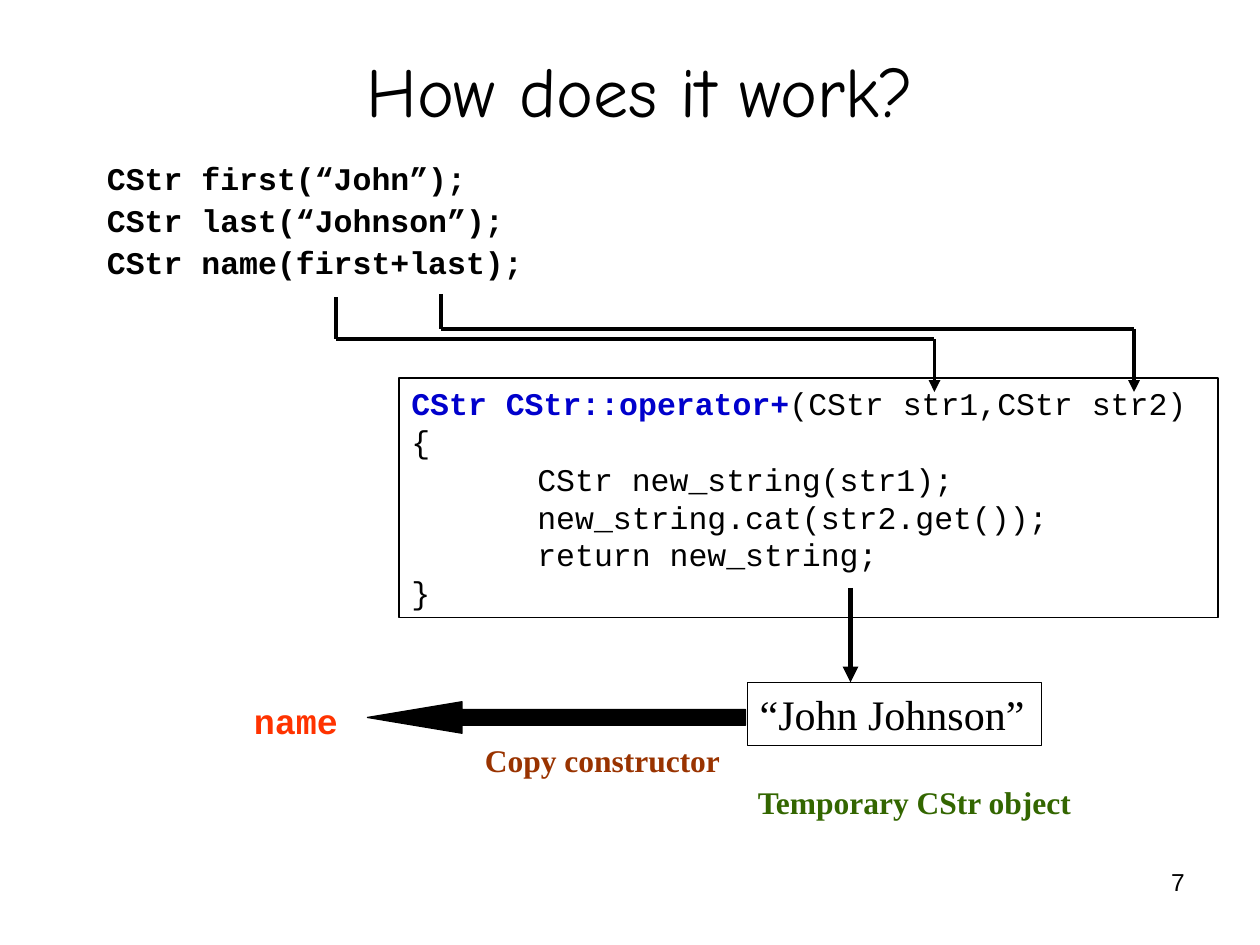
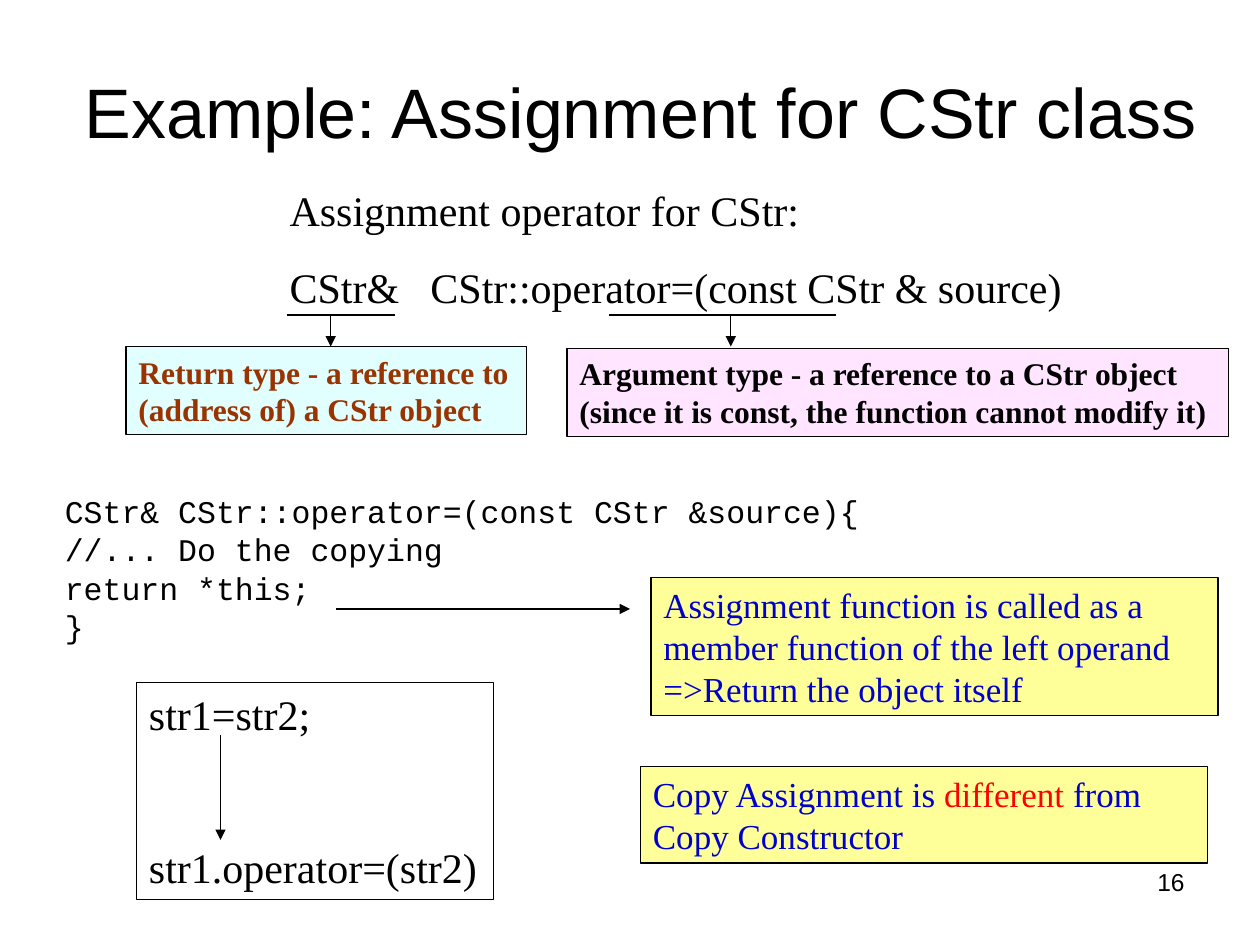
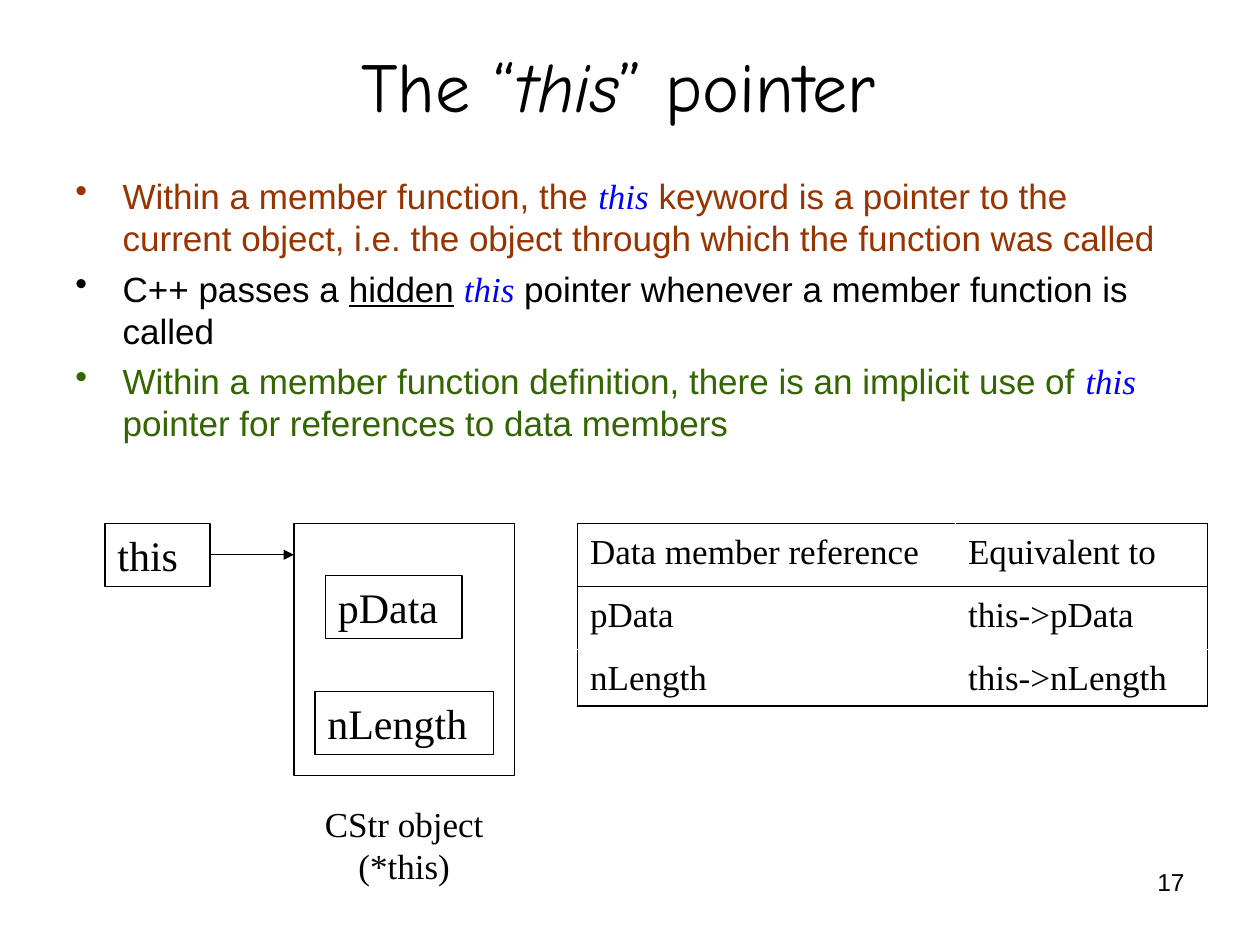
import pptx
import pptx.dml.color
import pptx.enum.shapes
import pptx.enum.text
import pptx.oxml
import pptx.oxml.ns
import pptx.util

Pt = pptx.util.Pt
SHAPES = pptx.enum.shapes.MSO_SHAPE
ALIGN = pptx.enum.text.PP_ALIGN
ANCHOR = pptx.enum.text.MSO_ANCHOR

COLOURS = {
    "black": "000000", "white": "FFFFFF", "code blue": "0000CC",
    "keyword blue": "0000FF", "brown": "993300", "green": "336600",
    "orange": "FF3300", "red": "FF0000", "pale cyan": "E1FFFF",
    "pale pink": "FFE5FF", "pale yellow": "FFFF99",
}
SANS, COMIC, MONO, SERIF = "Arial", "Comic Neue", "Courier New", "Times New Roman"

TITLE = {"name": COMIC, "size": 40}
PAGE_NUMBER = {"name": SANS, "size": 14}
CODE = {"name": MONO, "size": 18}
LABEL = {"name": SERIF, "size": 18, "bold": True}
NOTE = {"name": SERIF, "size": 20}
LARGE = {"name": SERIF, "size": 24}
BULLET = {"name": SANS, "size": 20}
THIS = {"name": SERIF, "colour": "keyword blue", "italic": True}
THIN, MEDIUM, THICK = 0.75, 2.25, 3


def rgb(colour):
    return pptx.dml.color.RGBColor.from_string(COLOURS[colour])


def add_xml(parent, markup, index=None):
    """Add a DrawingML element, written without its namespace declaration."""
    tag, rest = markup[:markup.index(" ")], markup[markup.index(" "):]
    element = pptx.oxml.parse_xml(tag + " " + pptx.oxml.ns.nsdecls("a") + rest)
    parent.insert(len(parent) if index is None else index, element)


def format_font(font, style):
    font.color.rgb = rgb(style.get("colour", "black"))
    for key, value in style.items():
        if key != "colour":
            setattr(font, key, Pt(value) if key == "size" else value)


def write(frame, paragraphs, style, **layout):
    """Fill a frame; a paragraph is a string or a list of (text, style changes)."""
    frame.word_wrap = True
    for number, content in enumerate(paragraphs):
        para = frame.paragraphs[0] if number == 0 else frame.add_paragraph()
        for key, value in layout.items():
            setattr(para, key, value)
        runs = [(content, {})] if isinstance(content, str) else content
        for text, changes in runs:
            span = para.add_run()
            span.text = text
            format_font(span.font, {**style, **changes})


def indent(para, left, first=0):
    properties = para._p.get_or_add_pPr()
    properties.set("marL", str(Pt(left)))
    properties.set("indent", str(Pt(first)))


def add_text(page, place, paragraphs, style, anchor=ANCHOR.TOP, **layout):
    box = page.shapes.add_textbox(*map(Pt, place))
    box.text_frame.vertical_anchor = anchor
    write(box.text_frame, paragraphs, style, **layout)
    return box


def add_box(page, place, paragraphs=(), style=LARGE, fill=None,
            kind=SHAPES.RECTANGLE, **layout):
    box = page.shapes.add_shape(kind, *map(Pt, place))
    box.shadow.inherit = False
    box.line.color.rgb = rgb("black")
    box.line.width = Pt(THIN)
    if fill:
        box.fill.solid()
        box.fill.fore_color.rgb = rgb(fill)
    else:
        box.fill.background()
    box.text_frame.vertical_anchor = ANCHOR.TOP
    write(box.text_frame, paragraphs, style, **{"alignment": ALIGN.LEFT, **layout})
    return box


def add_line(page, start, end, width=THIN, arrow=False):
    line = page.shapes.add_connector(
        pptx.enum.shapes.MSO_CONNECTOR.STRAIGHT, *map(Pt, start + end))
    line.line.color.rgb = rgb("black")
    line.line.width = Pt(width)
    if arrow:
        add_xml(line.line._get_or_add_ln(), '<a:tailEnd type="triangle"/>')
    add_xml(line._element.spPr, "<a:effectLst />")
    return line


def add_route(page, points):
    """Join the points with lines, the last one ending in an arrowhead."""
    last = len(points) - 2
    for number, (start, end) in enumerate(zip(points, points[1:])):
        add_line(page, start, end, MEDIUM, arrow=number == last)


def add_page(deck, number, title_place, title, style=TITLE):
    page = deck.slides.add_slide(deck.slide_layouts[6])
    add_text(page, (516, 492, 168, 37), [str(number)], PAGE_NUMBER,
             alignment=ALIGN.RIGHT)
    add_text(page, title_place, [title], style, ANCHOR.MIDDLE,
             alignment=ALIGN.CENTER)
    return page


def add_callout(page, underline, arrow_x, place, text, fill, colour):
    """Underline part of a signature and point from it to an explanation."""
    left, right = underline
    add_line(page, (left, 180), (right, 180))
    add_line(page, (arrow_x, 180), (arrow_x, 198), arrow=True)
    add_box(page, place, [text], {**LABEL, "colour": colour}, fill)


def add_bullets(page, place, bullets):
    """Each bullet is a colour and its list of (text, style changes)."""
    paragraphs = [[(text, {"colour": colour, **changes}) for text, changes in runs]
                  for colour, runs in bullets]
    box = add_text(page, place, paragraphs, BULLET, space_before=Pt(5))
    for para, (colour, _) in zip(box.text_frame.paragraphs, bullets):
        indent(para, 27, -27)
        properties = para._p.get_or_add_pPr()
        add_xml(properties, "<a:buClr ><a:srgbClr val=\"%s\"/></a:buClr>" % COLOURS[colour])
        add_xml(properties, '<a:buChar char="•"/>')


def set_borders(cell, sides):
    for index, side in enumerate(sides):
        add_xml(cell._tc.get_or_add_tcPr(),
                '<a:ln%s w="%d"><a:solidFill><a:srgbClr val="%s"/></a:solidFill></a:ln%s>'
                % (side, Pt(THIN), COLOURS["black"], side), index)


def add_grid(page, left, top, widths, heights, rows):
    """Add a table with an outer frame and a rule under its heading."""
    frame = page.shapes.add_table(len(rows), len(widths), Pt(left), Pt(top),
                                  Pt(sum(widths)), Pt(sum(heights)))
    table = frame.table
    table.first_row = table.horz_banding = False
    for column, width in zip(table.columns, widths):
        column.width = Pt(width)
    for row, height in zip(table.rows, heights):
        row.height = Pt(height)
    margins = {"margin_left": 7.2, "margin_right": 0, "margin_top": 5.7, "margin_bottom": 2}
    for r, texts in enumerate(rows):
        for c, text in enumerate(texts):
            cell = table.cell(r, c)
            for key, value in margins.items():
                setattr(cell, key, Pt(value))
            cell.fill.background()
            write(cell.text_frame, [text], NOTE)
            edges = {"L": c == 0, "R": c == len(widths) - 1, "T": r <= 1,
                     "B": r in (0, len(rows) - 1)}
            set_borders(cell, [side for side, drawn in edges.items() if drawn])


def build_operator_page(deck):
    page = add_page(deck, 7, (60, 18, 612, 66), "How does it work?")
    add_text(page, (54, 90, 276, 78),
             ["CStr first(“John”);", "CStr last(“Johnson”);", "CStr name(first+last);"],
             {**CODE, "bold": True}, line_spacing=0.9, space_before=Pt(4.5))
    operator = add_box(page, (228, 216, 468, 137), [
        [("CStr CStr::operator+", {"colour": "code blue", "bold": True}),
         ("(CStr str1,CStr str2) {", {})],
        "CStr new_string(str1);", "new_string.cat(str2.get());",
        "return new_string;", "}"], CODE)
    for para in operator.text_frame.paragraphs[1:4]:
        indent(para, 72)
    add_route(page, [(192, 170), (192, 194), (534, 194), (534, 224)])
    add_route(page, [(252, 168), (252, 188), (648, 188), (648, 224)])
    add_box(page, (427, 390, 168, 36), ["“John Johnson”"])
    add_line(page, (486, 336), (486, 390), THICK, arrow=True)
    arrow = add_box(page, (210, 401, 216, 18), fill="black", kind=SHAPES.LEFT_ARROW)
    arrow.adjustments[0], arrow.adjustments[1] = 0.5, 3
    add_text(page, (426, 444, 198, 29), ["Temporary CStr object"],
             {**LABEL, "colour": "green"})
    add_text(page, (270, 420, 150, 29), ["Copy constructor"],
             {**LABEL, "colour": "brown"})
    add_text(page, (138, 396, 66, 32), ["name"],
             {**CODE, "size": 20, "bold": True, "colour": "orange"})


def build_assignment_page(deck):
    page = add_page(deck, 16, (24, 18, 684, 90), "Example: Assignment for CStr class",
                    {**TITLE, "name": SANS})
    add_text(page, (30, 282, 474, 108),
             ["CStr& CStr::operator=(const CStr &source){", "//... Do the copying",
              "return *this;", "}"], CODE, line_spacing=0.8, space_before=Pt(4.5))
    signature = add_text(page, (158.4, 102, 457, 80),
                         ["Assignment operator for CStr:",
                          "CStr&\tCStr::operator=(const CStr & source)"],
                         LARGE, space_before=Pt(15))
    add_xml(signature.text_frame.paragraphs[1]._p.get_or_add_pPr(),
            '<a:tabLst ><a:tab pos="%d" algn="l"/></a:tabLst>' % Pt(80.5))
    add_callout(page, (164, 226), 189, (72, 198, 229, 50.4),
                "Return type - a reference to (address of) a CStr object",
                "pale cyan", "brown")
    add_callout(page, (348, 478), 417.6, (324, 199, 378, 50.4),
                "Argument type - a reference to a CStr object "
                "(since it is const, the function cannot modify it)",
                "pale pink", "black")
    add_line(page, (192, 348), (360, 348), arrow=True)
    blue_note = {**NOTE, "colour": "code blue"}
    add_box(page, (372, 330, 324, 79),
            ["Assignment function is called as a member function of the left operand "
             "=>Return the object itself"], blue_note, "pale yellow")
    calls = add_box(page, (78, 390, 204, 124), ["str1=str2;", "str1.operator=(str2)"])
    calls.text_frame.paragraphs[1].space_before = Pt(58.8)
    add_line(page, (126, 420), (126, 480), arrow=True)
    add_box(page, (366, 438, 324, 55.2),
            [[("Copy Assignment is ", {}), ("different", {"colour": "red"}),
              (" from Copy Constructor", {})]], blue_note, "pale yellow")


def build_this_page(deck):
    page = add_page(deck, 17, (54, 18, 612, 60),
                    [("The “", {}), ("this", {"italic": True}), ("” pointer ", {})])
    add_bullets(page, (36, 96, 648, 162), [
        ("brown", [("Within a member function, the ", {}), ("this", THIS),
                   (" keyword is a pointer to the current object, i.e. the object "
                    "through which the function was called", {})]),
        ("black", [("C++ passes a ", {}), ("hidden", {"underline": True}), (" ", {}),
                   ("this", THIS),
                   (" pointer whenever a member function is called", {})]),
        ("green", [("Within a member function definition, there is an implicit use of ", {}),
                   ("this ", THIS), ("pointer for references to data members", {})]),
    ])
    add_box(page, (168, 299, 126, 144), fill="white")
    add_box(page, (186, 329, 78, 36), ["pData"])
    add_box(page, (180, 395, 102, 36), ["nLength"])
    this_box = add_box(page, (60, 299, 60, 36), ["this"])
    pointer = add_line(page, (120, 317), (168, 317), arrow=True)
    pointer.begin_connect(this_box, 3)
    add_grid(page, 330, 299, (216, 144), (36, 36, 32.4), [
        ("Data member reference", "Equivalent to"),
        ("pData", "this->pData"),
        ("nLength", "this->nLength"),
    ])
    add_text(page, (174, 455, 114, 55), ["CStr object", "(*this)"], NOTE,
             alignment=ALIGN.CENTER)


def main():
    deck = pptx.Presentation()
    deck.slide_width, deck.slide_height = Pt(720), Pt(540)
    build_operator_page(deck)
    build_assignment_page(deck)
    build_this_page(deck)
    deck.save("out.pptx")


if __name__ == "__main__":
    main()
